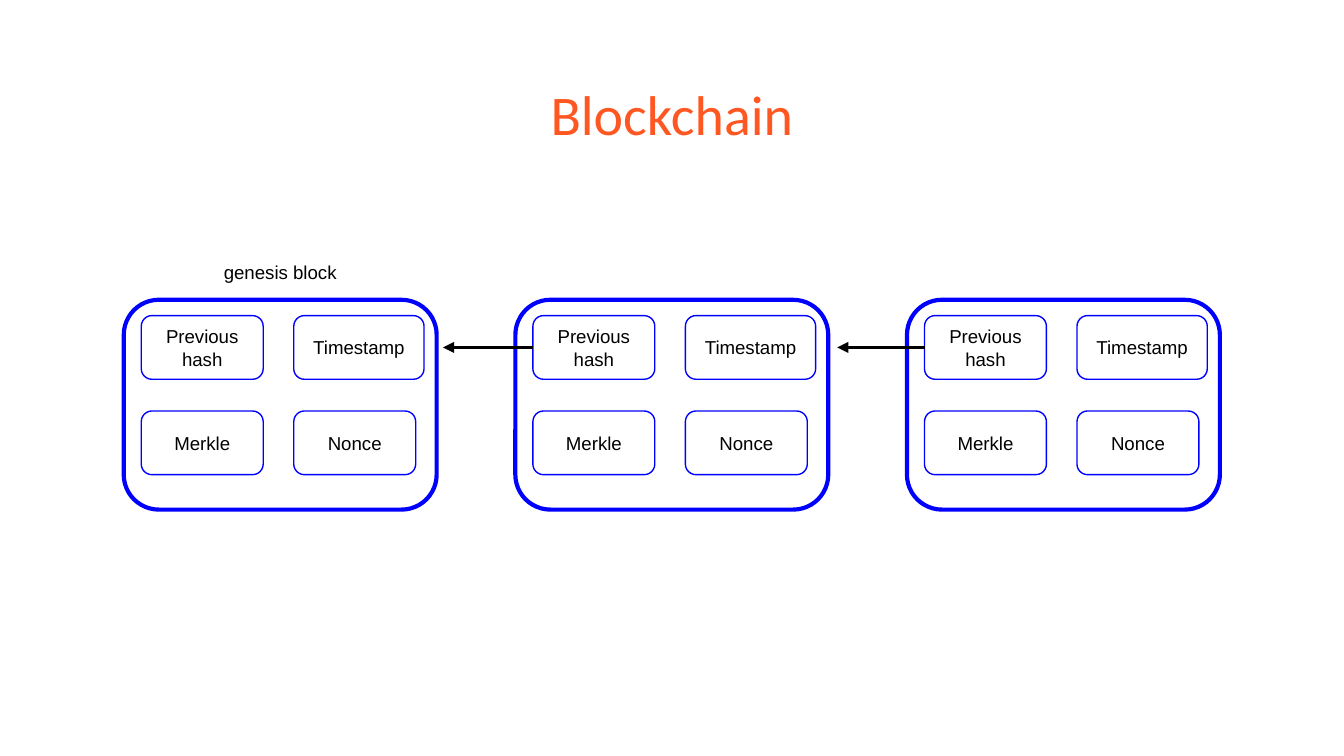
from pptx import Presentation
from pptx.dml.color import RGBColor
from pptx.enum import shapes, text
from pptx.oxml.ns import qn
from pptx.util import Pt
from lxml import etree

COLORS = {"title": "FF5722", "outline": "0000FF", "ink": "000000"}
INSET = 7.2
BLOCK_LEFT, BLOCK_TOP, BLOCK_WIDTH, BLOCK_HEIGHT = 66.3, 160.6, 167.6, 112.4
BLOCK_PITCH = 209.8
FIELD_HEIGHT = 34.1
FIELDS = [
    ("Previous hash", 9.4, 8.5, 65.3),
    ("Timestamp", 91.1, 8.5, 69.8),
    ("Merkle", 9.4, 59.6, 65.3),
    ("Nonce", 91.1, 59.6, 65.3),
]
ARROW_LENGTHS = [48.2, 46.8]


def color(name):
    """Return the named colour."""
    return RGBColor.from_string(COLORS[name])


def write(shape, content, size, font, ink, anchor):
    """Put one centred paragraph into a shape."""
    frame = shape.text_frame
    frame.word_wrap = True
    frame.auto_size = text.MSO_AUTO_SIZE.NONE
    frame.vertical_anchor = anchor
    frame.margin_left = frame.margin_right = Pt(INSET)
    frame.margin_top = frame.margin_bottom = Pt(INSET)
    frame.text = content
    paragraph = frame.paragraphs[0]
    paragraph.alignment = text.PP_ALIGN.CENTER
    paragraph.font.size = Pt(size)
    paragraph.font.name = font
    paragraph.font.color.rgb = color(ink)


def add_title(slide, content):
    """Place and format the title placeholder."""
    title = slide.shapes.title
    title.left, title.top, title.width, title.height = Pt(24.5), Pt(35.3), Pt(671), Pt(45.4)
    write(title, content, 30, "Calibri", "title", text.MSO_ANCHOR.TOP)


def add_label(slide, content, left, top, width, height):
    """Add a plain text label."""
    label = slide.shapes.add_textbox(Pt(left), Pt(top), Pt(width), Pt(height))
    write(label, content, 10, "Arial", "ink", text.MSO_ANCHOR.TOP)


def add_rounded_box(slide, left, top, width, height, line_width):
    """Add an unfilled rounded rectangle with a blue outline."""
    box = slide.shapes.add_shape(
        shapes.MSO_SHAPE.ROUNDED_RECTANGLE, Pt(left), Pt(top), Pt(width), Pt(height)
    )
    box.shadow.inherit = False
    box.fill.background()
    box.line.color.rgb = color("outline")
    box.line.width = Pt(line_width)
    return box


def add_block(slide, left):
    """Add a block with its four header fields."""
    add_rounded_box(slide, left, BLOCK_TOP, BLOCK_WIDTH, BLOCK_HEIGHT, 2.25)
    for name, across, down, width in FIELDS:
        field = add_rounded_box(
            slide, left + across, BLOCK_TOP + down, width, FIELD_HEIGHT, 0.75
        )
        write(field, name, 10, "Arial", "ink", text.MSO_ANCHOR.MIDDLE)


def add_arrow(slide, start, end, height):
    """Add a horizontal arrow pointing at its end."""
    arrow = slide.shapes.add_connector(
        shapes.MSO_CONNECTOR.STRAIGHT, Pt(start), Pt(height), Pt(end), Pt(height)
    )
    arrow.line.color.rgb = color("ink")
    arrow.line.width = Pt(1.5)
    etree.SubElement(arrow.line._get_or_add_ln(), qn("a:tailEnd"), type="triangle")
    etree.SubElement(arrow._element.spPr, qn("a:effectLst"))


def main():
    """Build the blockchain slide."""
    presentation = Presentation()
    presentation.slide_width, presentation.slide_height = Pt(720), Pt(405)
    slide = presentation.slides.add_slide(presentation.slide_layouts[5])
    add_title(slide, "Blockchain")

    lefts = [BLOCK_LEFT + index * BLOCK_PITCH for index in range(3)]
    for left in lefts:
        add_block(slide, left)

    _, across, down, _ = FIELDS[0]
    arrow_height = BLOCK_TOP + down + FIELD_HEIGHT / 2
    for left, length in zip(lefts[1:], ARROW_LENGTHS):
        start = left + across
        add_arrow(slide, start, start - length, arrow_height)

    add_label(slide, "genesis block", 104.4, 132.5, 91.4, 23)
    presentation.save("out.pptx")


if __name__ == "__main__":
    main()
